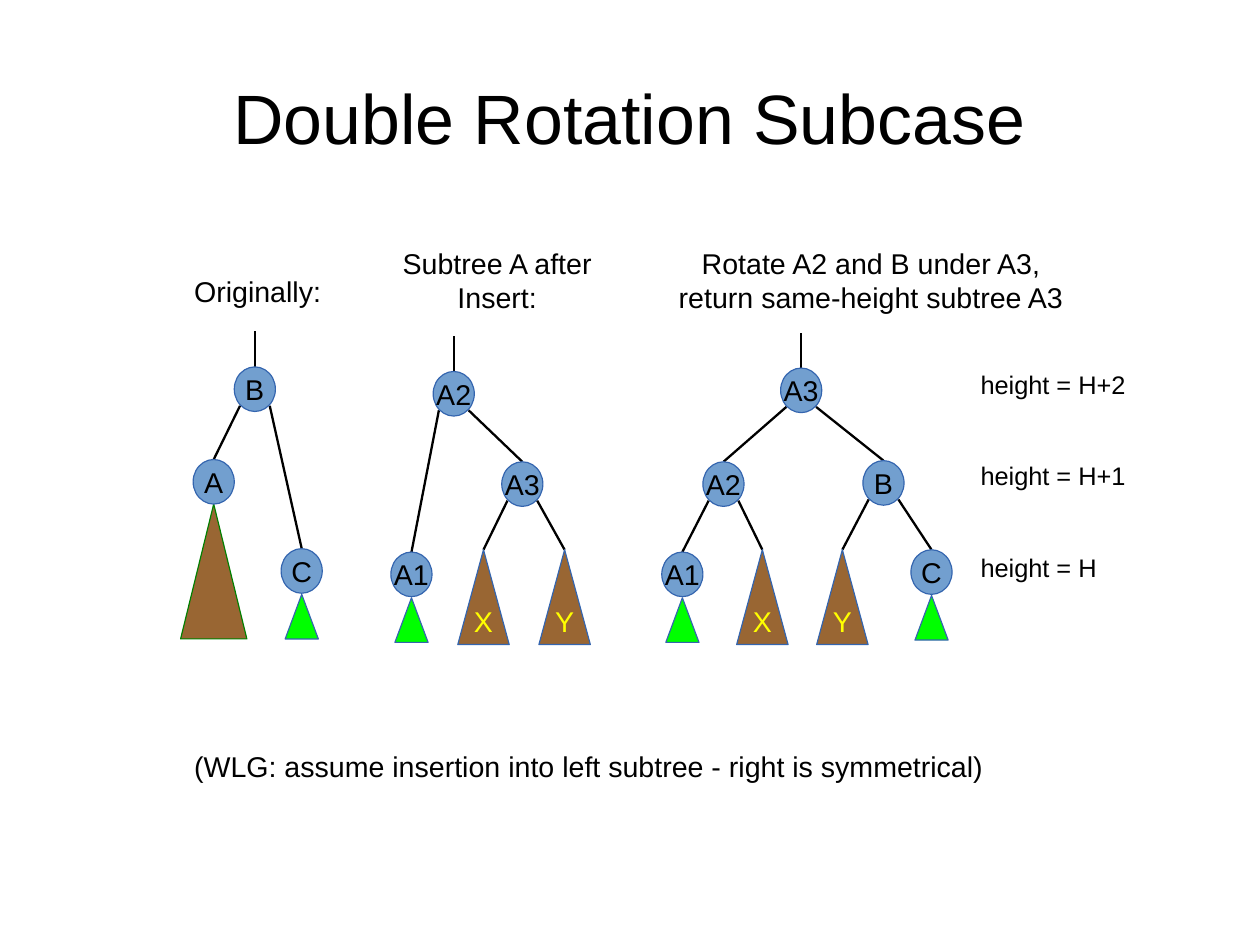
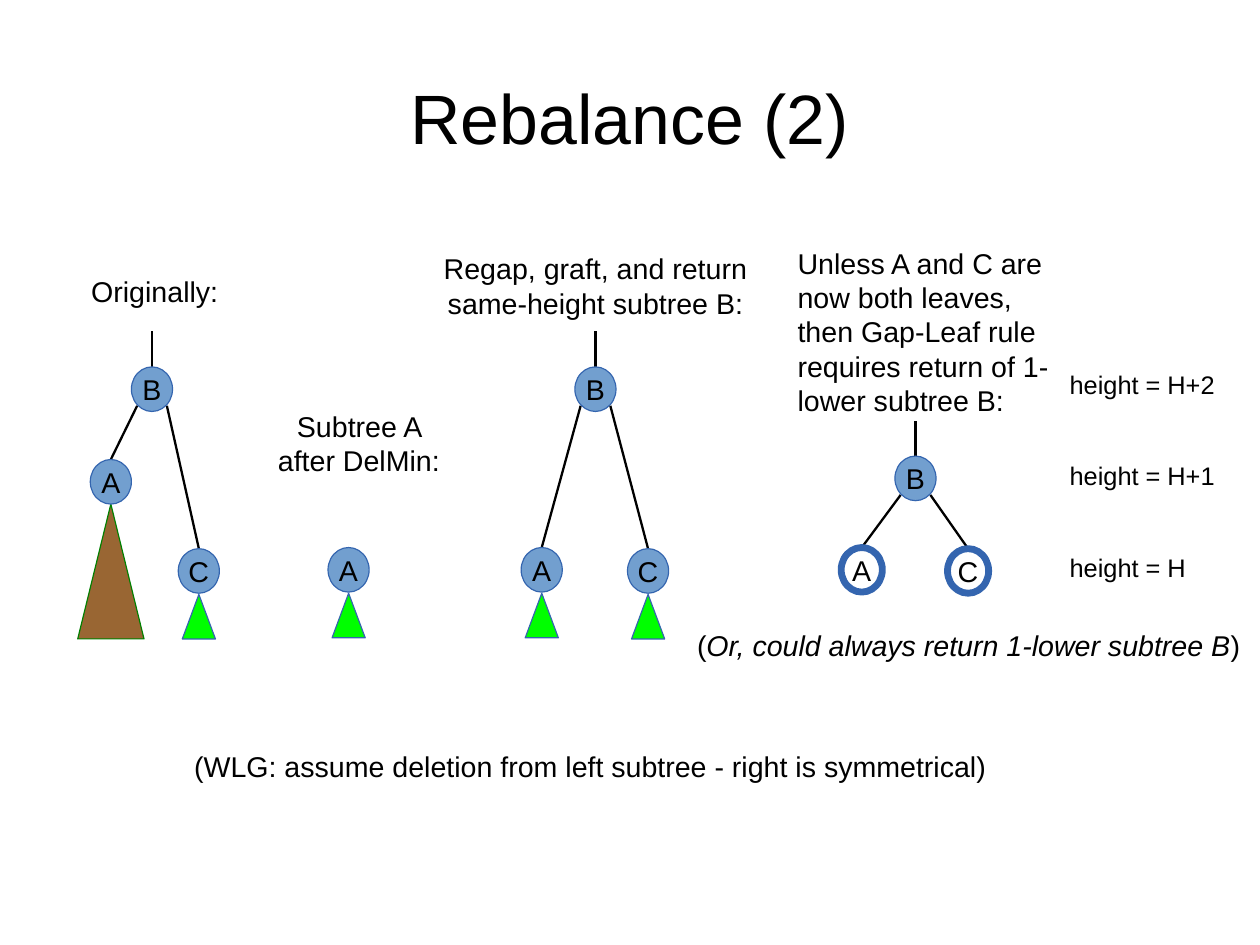
from dataclasses import dataclass

from lxml import etree
from pptx import Presentation
from pptx.dml.color import RGBColor
from pptx.enum.shapes import MSO_CONNECTOR as MC, MSO_SHAPE as MS
from pptx.enum.text import MSO_ANCHOR, MSO_AUTO_SIZE, PP_ALIGN
from pptx.oxml.ns import qn
from pptx.util import Cm, Inches, Pt

COLORS = {
    "text": "000000", "edge": "000000", "node": "729FCF", "outline": "3465AF",
    "brown": "996633", "tall_line": "008000", "green": "00FF00", "yellow": "FFFF00",
}
FONT = "Arial"
NODE_W, NODE_H = 0.36, 0.39
EDGE_DX, EDGE_DY = 0.13, 0.34  # where edges leave a node, from its top centre
STEM = 0.31
LEFT, CENTER = PP_ALIGN.LEFT, PP_ALIGN.CENTER


@dataclass
class Node:
    """A tree part; x and y lead from the root's top centre to its own."""
    label: str
    x: float = 0
    y: float = 0
    kind: str = "plain"  # plain, leaf, tall, hollow or subtree
    children: tuple = ()


def rgb(name):
    return RGBColor.from_string(COLORS[name])


# Basic parts
def add_run(p, text, size=18, color="text", italic=False):
    r = p.add_run()
    r.text = text
    r.font.name, r.font.size, r.font.italic = FONT, Pt(size), italic
    r.font.color.rgb = rgb(color)


def add_text(slide, x, y, w, h, paragraphs, size=18, align=LEFT):
    """Each paragraph is a list of (text, italic) runs or a plain string."""
    tf = slide.shapes.add_textbox(Inches(x), Inches(y), Inches(w), Inches(h)).text_frame
    tf.word_wrap = True
    tf.auto_size = MSO_AUTO_SIZE.SHAPE_TO_FIT_TEXT
    for i, runs in enumerate(paragraphs):
        p = tf.add_paragraph() if i else tf.paragraphs[0]
        p.alignment = align
        for text, italic in [(runs, False)] if isinstance(runs, str) else runs:
            add_run(p, text, size, italic=italic)
    return tf


def add_part(slide, preset, cx, y, w, h, fill, line="outline", width=0,
             label="", color="text"):
    """Draw a shape whose top centre is at cx, y."""
    s = slide.shapes.add_shape(preset, Inches(cx - w / 2), Inches(y), Inches(w), Inches(h))
    s.shadow.inherit = False
    if fill:
        s.fill.solid()
        s.fill.fore_color.rgb = rgb(fill)
    else:
        s.fill.background()
    s.line.color.rgb = rgb(line)
    s.line.width = Pt(width)
    if label:
        tf = s.text_frame
        tf.word_wrap = False
        tf.vertical_anchor = MSO_ANCHOR.MIDDLE
        p = tf.paragraphs[0]
        p.alignment = CENTER
        add_run(p, label, color=color)


def add_edge(slide, x1, y1, x2, y2):
    c = slide.shapes.add_connector(
        MC.STRAIGHT, Inches(x1), Inches(y1), Inches(x2), Inches(y2))
    c.line.color.rgb = rgb("edge")
    c.line.width = Pt(1.45)
    etree.SubElement(c._element.spPr, qn("a:effectLst"))


# Trees
def draw_node(slide, x, y, node):
    cx, top = x + node.x, y + node.y
    for child in node.children:
        side = EDGE_DX if child.x > node.x else -EDGE_DX
        add_edge(slide, cx + side, top + EDGE_DY, x + child.x, y + child.y)
        draw_node(slide, x, y, child)
    if node.kind == "subtree":
        add_part(slide, MS.ISOSCELES_TRIANGLE, cx, top, 0.45, 0.83, "brown",
                 label=node.label, color="yellow")
        return
    if node.kind == "leaf":
        add_part(slide, MS.ISOSCELES_TRIANGLE, cx, top + 0.4, 0.29, 0.39, "green")
    elif node.kind == "tall":
        add_part(slide, MS.ISOSCELES_TRIANGLE, cx, top + NODE_H, 0.58, 1.18, "brown",
                 "tall_line")
    hollow = node.kind == "hollow"
    add_part(slide, MS.OVAL, cx, top, NODE_W, NODE_H, None if hollow else "node",
             width=4.31 if hollow else 0, label=node.label)


def draw_tree(slide, x, y, root):
    add_edge(slide, x, y, x, y - STEM)
    draw_node(slide, x, y, root)


def original_tree(slide, x):
    """The starting tree and its caption, with the root centred at x."""
    add_text(slide, x - 0.63, 2.35, 1.4, 0.38, ["Originally:"])
    draw_tree(slide, x, 3.21, Node("B", children=(
        Node("A", -0.36, 0.81, "tall"), Node("C", 0.41, 1.59, "leaf"))))


# Slide frame: title, height scale and closing note
def new_slide(prs, title, scale_x, change):
    slide = prs.slides.add_slide(prs.slide_layouts[6])
    tf = add_text(slide, 0.55, 0.33, 9.92, 1.38, [title], 44, CENTER)
    tf.auto_size = MSO_AUTO_SIZE.NONE
    tf.vertical_anchor = MSO_ANCHOR.MIDDLE
    tf.margin_left = tf.margin_right = tf.margin_top = tf.margin_bottom = 0
    for i, level in enumerate(("H+2", "H+1", "H")):
        add_text(slide, scale_x, 3.18 + 0.8 * i, 1.62, 0.55, [f"height = {level}"], 16)
    add_text(slide, 1.6, 6.5, 7.4, 0.38,
             [f"(WLG: assume {change} left subtree - right is symmetrical)"])
    return slide


def double_rotation(prs):
    slide = new_slide(prs, "Double Rotation Subcase", 8.48, "insertion into")
    original_tree(slide, 2.23)

    # After the insertion
    add_text(slide, 3.4, 2.1, 1.9, 0.7, ["Subtree A after Insert:"], align=CENTER)
    draw_tree(slide, 3.97, 3.25, Node("A2", children=(
        Node("A1", -0.37, 1.58, "leaf"),
        Node("A3", 0.6, 0.79, children=(
            Node("X", 0.26, 1.56, "subtree"), Node("Y", 0.97, 1.56, "subtree"))))))

    # After the rotation
    add_text(slide, 5.77, 2.1, 3.7, 0.66,
             ["Rotate A2 and B under A3,", "return same-height subtree A3"], align=CENTER)
    draw_tree(slide, 7.01, 3.22, Node("A3", children=(
        Node("A2", -0.68, 0.82, children=(
            Node("A1", -1.04, 1.61, "leaf"), Node("X", -0.34, 1.59, "subtree"))),
        Node("B", 0.72, 0.81, children=(
            Node("Y", 0.36, 1.59, "subtree"), Node("C", 1.14, 1.59, "leaf"))))))


def rebalance(prs):
    slide = new_slide(prs, "Rebalance (2)", 9.26, "deletion from")
    original_tree(slide, 1.33)

    # After the deletion
    add_text(slide, 2.29, 3.53, 1.7, 0.9, ["Subtree A after DelMin:"], align=CENTER)
    draw_node(slide, 3.05, 4.79, Node("A", kind="leaf"))

    # Same-height and lower results
    add_text(slide, 3.71, 2.15, 3, 0.66,
             ["Regap, graft, and return", "same-height subtree B:"], align=CENTER)
    add_text(slide, 6.88, 2.1, 2.4, 1.5,
             ["Unless A and C are now both leaves, then Gap-Leaf rule "
              "requires return of 1-lower subtree B:"])
    for x, y, drop, kind in ((5.21, 3.21, 1.58, "leaf"), (8.01, 3.99, 0.8, "hollow")):
        draw_tree(slide, x, y, Node("B", children=(
            Node("A", -0.47, drop, kind), Node("C", 0.46, drop + 0.01, kind))))
    add_text(slide, 6, 5.44, 5, 0.38,
             [[("(", False), ("Or, could always return 1-lower subtree B", True),
               (")", False)]])


def main():
    prs = Presentation()
    prs.slide_width, prs.slide_height = Cm(28), Cm(21)
    double_rotation(prs)
    rebalance(prs)
    prs.save("out.pptx")


if __name__ == "__main__":
    main()
